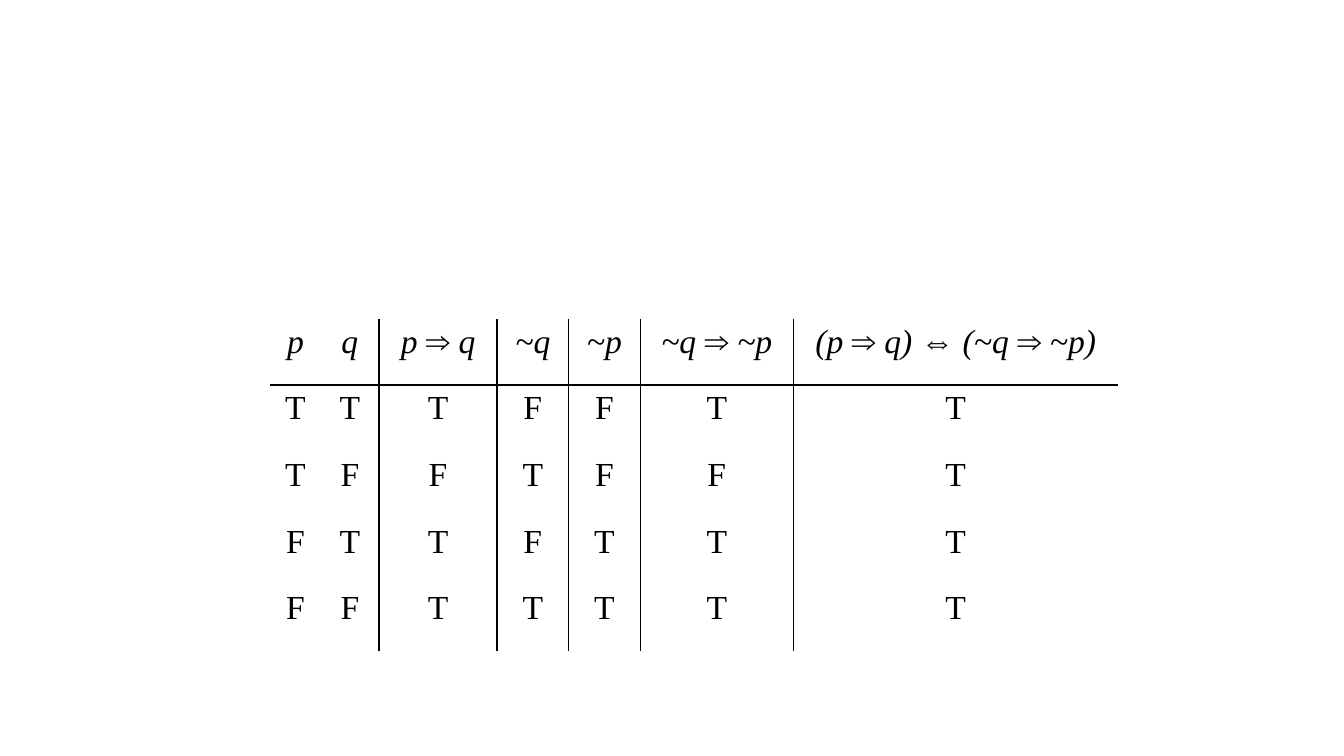
from dataclasses import dataclass

from lxml import etree
from pptx import Presentation
from pptx.dml.color import RGBColor
from pptx.enum.text import MSO_ANCHOR, PP_ALIGN
from pptx.oxml.ns import qn
from pptx.table import _Cell
from pptx.util import Inches, Pt

CENTER = PP_ALIGN.CENTER
TOP = MSO_ANCHOR.TOP


@dataclass(frozen=True)
class Theme:
    font: str = "Times New Roman"
    ink: str = "000000"
    text_size: int = 24
    rule_width: int = 1
    indent: float = 0.38


@dataclass(frozen=True)
class TruthColumn:
    heading: str
    values: str
    width: float


THEME = Theme()
COLUMNS = [
    TruthColumn("p", "TTFF", 0.5),
    TruthColumn("q", "TFTF", 0.58),
    TruthColumn("p ⇒ q", "TFTT", 1.17),
    TruthColumn("~q", "FTFT", 0.71),
    TruthColumn("~p", "FFTT", 0.71),
    TruthColumn("~q ⇒ ~p", "TFTT", 1.52),
    TruthColumn("(p ⇒ q) ⇔ (~q ⇒ ~p)", "TTTT", 3.22),
]
ROW_COUNT = 1 + len(COLUMNS[0].values)
ROW_HEIGHT = 0.66
TABLE_LEFT = 2.68
TABLE_TOP = 3.16


def write_cell(cell: _Cell, text: str, italic: bool) -> None:
    cell.vertical_anchor = TOP
    paragraph = cell.text_frame.paragraphs[0]
    paragraph.alignment = CENTER
    properties = paragraph._p.get_or_add_pPr()
    properties.set("marL", str(Inches(THEME.indent)))
    properties.set("indent", str(-Inches(THEME.indent)))
    run = paragraph.add_run()
    run.text = text
    run.font.name = THEME.font
    run.font.size = Pt(THEME.text_size)
    run.font.italic = italic
    run.font.color.rgb = RGBColor.from_string(THEME.ink)


def set_borders(cell: _Cell, drawn: dict[str, bool]) -> None:
    cell.fill.background()
    properties = cell._tc.get_or_add_tcPr()
    for position, (side, visible) in enumerate(drawn.items()):
        line = etree.Element(qn(f"a:ln{side}"), w=str(Pt(THEME.rule_width)))
        if visible:
            fill = etree.SubElement(line, qn("a:solidFill"))
            etree.SubElement(fill, qn("a:srgbClr"), val=THEME.ink)
        else:
            etree.SubElement(line, qn("a:noFill"))
        properties.insert(position, line)


def main() -> None:
    presentation = Presentation()
    presentation.slide_width = Inches(13.33)
    presentation.slide_height = Inches(7.5)
    slide = presentation.slides.add_slide(presentation.slide_layouts[6])
    table = slide.shapes.add_table(
        ROW_COUNT, len(COLUMNS), Inches(TABLE_LEFT), Inches(TABLE_TOP),
        Inches(sum(column.width for column in COLUMNS)),
        Inches(ROW_COUNT * ROW_HEIGHT),
    ).table
    table.first_row = False
    table.horz_banding = False
    for row in table.rows:
        row.height = Inches(ROW_HEIGHT)

    last_column = len(COLUMNS) - 1
    for column_index, column in enumerate(COLUMNS):
        table.columns[column_index].width = Inches(column.width)
        for row_index, text in enumerate([column.heading, *column.values]):
            cell = table.cell(row_index, column_index)
            write_cell(cell, text, italic=row_index == 0)
            set_borders(cell, {
                "L": column_index > 1,
                "R": 0 < column_index < last_column,
                "T": row_index == 1,
                "B": row_index == 0,
            })

    presentation.save("out.pptx")


if __name__ == "__main__":
    main()
